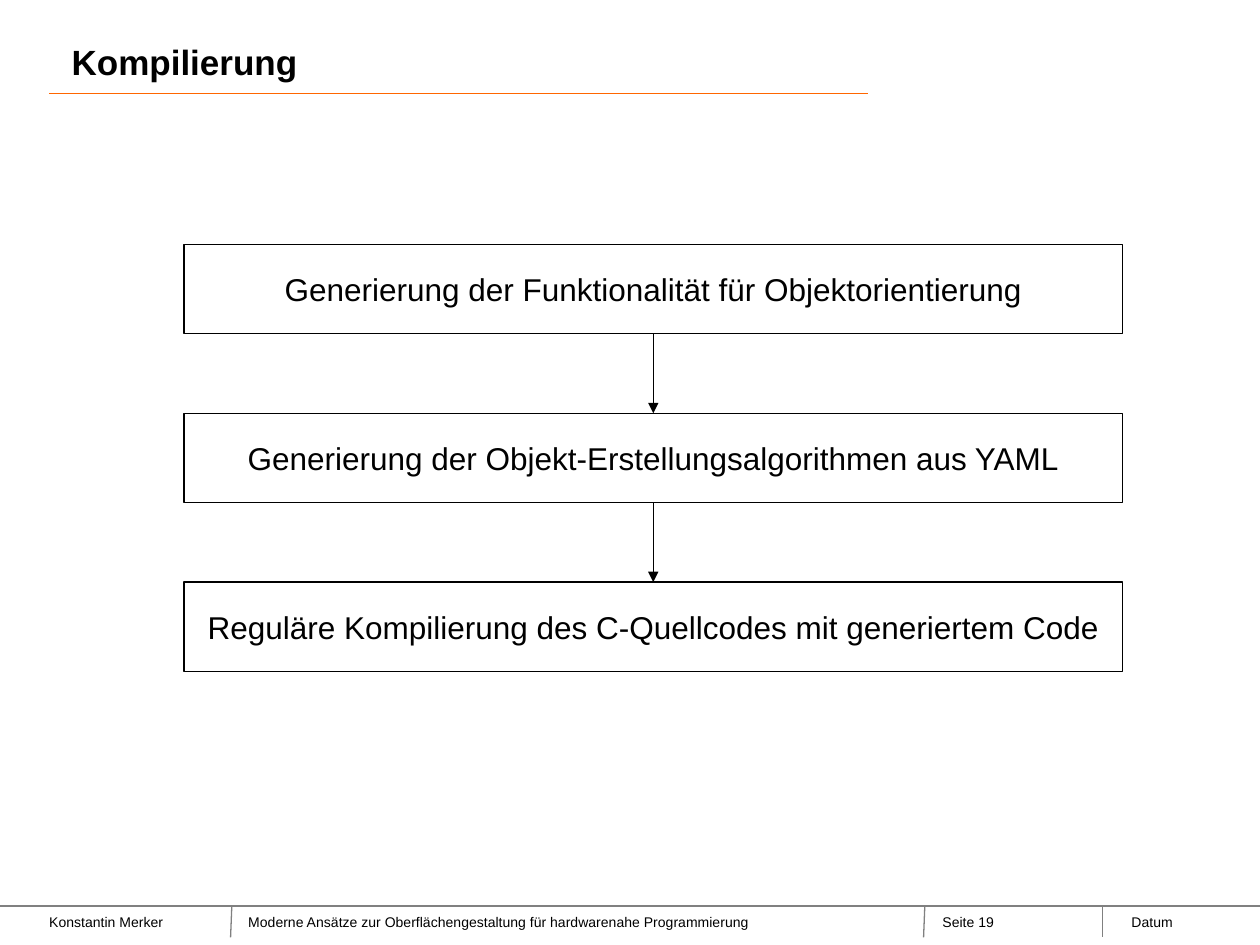
import pptx
import pptx.dml.color
import pptx.enum.shapes
import pptx.enum.text
import pptx.oxml.ns
import pptx.util
from lxml import etree

Pt = pptx.util.Pt
ALIGN = pptx.enum.text.PP_ALIGN
ANCHOR = pptx.enum.text.MSO_ANCHOR

FONT = "Arial"
COLORS = {"text": "000000", "rule": "FF6600", "footer": "808080"}

TITLE = "Kompilierung"
STEPS = [
    "Generierung der Funktionalität für Objektorientierung",
    "Generierung der Objekt-Erstellungsalgorithmen aus YAML",
    "Reguläre Kompilierung des C-Quellcodes mit generiertem Code",
]
# text, left, width
FOOTER = [
    ("Konstantin Merker", 28.08, 85),
    ("Moderne Ansätze zur Oberflächengestaltung für hardwarenahe Programmierung", 141.84, 354.24),
    ("Seite 19", 538.56, 79.2),
    ("Datum", 646.56, 73.44),
]
# x at the top and at the bottom of each footer divider
DIVIDERS = [(132.48, 131.76), (528.48, 527.76), (630, 630)]

SLIDE_W, SLIDE_H = 720, 540
FOOTER_TOP, FOOTER_BOTTOM = 517.68, 535.68
RULE_LEFT, RULE_RIGHT, RULE_Y = 28.08, 496.08, 53.28
STEP_LEFT, STEP_TOP, STEP_W, STEP_H, STEP_GAP = 105.12, 139.68, 536.4, 51.12, 45.36


def rgb(key):
    return pptx.dml.color.RGBColor.from_string(COLORS[key])


def write(shape, text, size, bold=False, align=ALIGN.LEFT, anchor=ANCHOR.TOP):
    frame = shape.text_frame
    frame.word_wrap = True
    frame.vertical_anchor = anchor
    paragraph = frame.paragraphs[0]
    paragraph.alignment = align
    run = paragraph.add_run()
    run.text = text
    run.font.name = FONT
    run.font.size = Pt(size)
    run.font.bold = bold
    run.font.color.rgb = rgb("text")


def add_line(slide, x1, y1, x2, y2, color):
    line = slide.shapes.add_connector(
        pptx.enum.shapes.MSO_CONNECTOR.STRAIGHT, Pt(x1), Pt(y1), Pt(x2), Pt(y2))
    line.line.color.rgb = rgb(color)
    line.line.width = Pt(0.75)
    etree.SubElement(line._element.spPr, pptx.oxml.ns.qn("a:effectLst"))
    return line


def add_footer(slide):
    add_line(slide, 0, FOOTER_TOP, SLIDE_W, FOOTER_TOP, "footer")
    for top_x, bottom_x in DIVIDERS:
        add_line(slide, top_x, FOOTER_TOP, bottom_x, FOOTER_BOTTOM, "footer")
    for text, left, width in FOOTER:
        box = slide.shapes.add_textbox(Pt(left), Pt(518.4), Pt(width), Pt(17.28))
        box.text_frame.margin_left = 0
        write(box, text, 8)


def add_title(slide):
    add_line(slide, RULE_LEFT, RULE_Y, RULE_RIGHT, RULE_Y, "rule")
    title = slide.shapes.add_textbox(Pt(33.84), Pt(14.4), Pt(465.12), Pt(41.76))
    write(title, TITLE, 20, bold=True, anchor=ANCHOR.MIDDLE)


def add_step(slide, index, text):
    top = STEP_TOP + index * (STEP_H + STEP_GAP)
    step = slide.shapes.add_shape(
        pptx.enum.shapes.MSO_SHAPE.RECTANGLE,
        Pt(STEP_LEFT), Pt(top), Pt(STEP_W), Pt(STEP_H))
    step.shadow.inherit = False
    step.fill.background()
    step.line.color.rgb = rgb("text")
    step.line.width = Pt(0.75)
    write(step, text, 18, align=ALIGN.CENTER, anchor=ANCHOR.MIDDLE)
    return step


def add_arrow(slide, upper, lower):
    arrow = add_line(slide, 0, 0, 0, 0, "text")
    arrow.begin_connect(upper, 2)
    arrow.end_connect(lower, 0)
    etree.SubElement(arrow.line._get_or_add_ln(),
                     pptx.oxml.ns.qn("a:tailEnd"), type="triangle")


def main():
    deck = pptx.Presentation()
    deck.slide_width, deck.slide_height = Pt(SLIDE_W), Pt(SLIDE_H)
    slide = deck.slides.add_slide(deck.slide_layouts[6])
    add_footer(slide)
    add_title(slide)
    steps = [add_step(slide, i, text) for i, text in enumerate(STEPS)]
    for upper, lower in zip(steps, steps[1:]):
        add_arrow(slide, upper, lower)
    deck.save("out.pptx")


if __name__ == "__main__":
    main()
